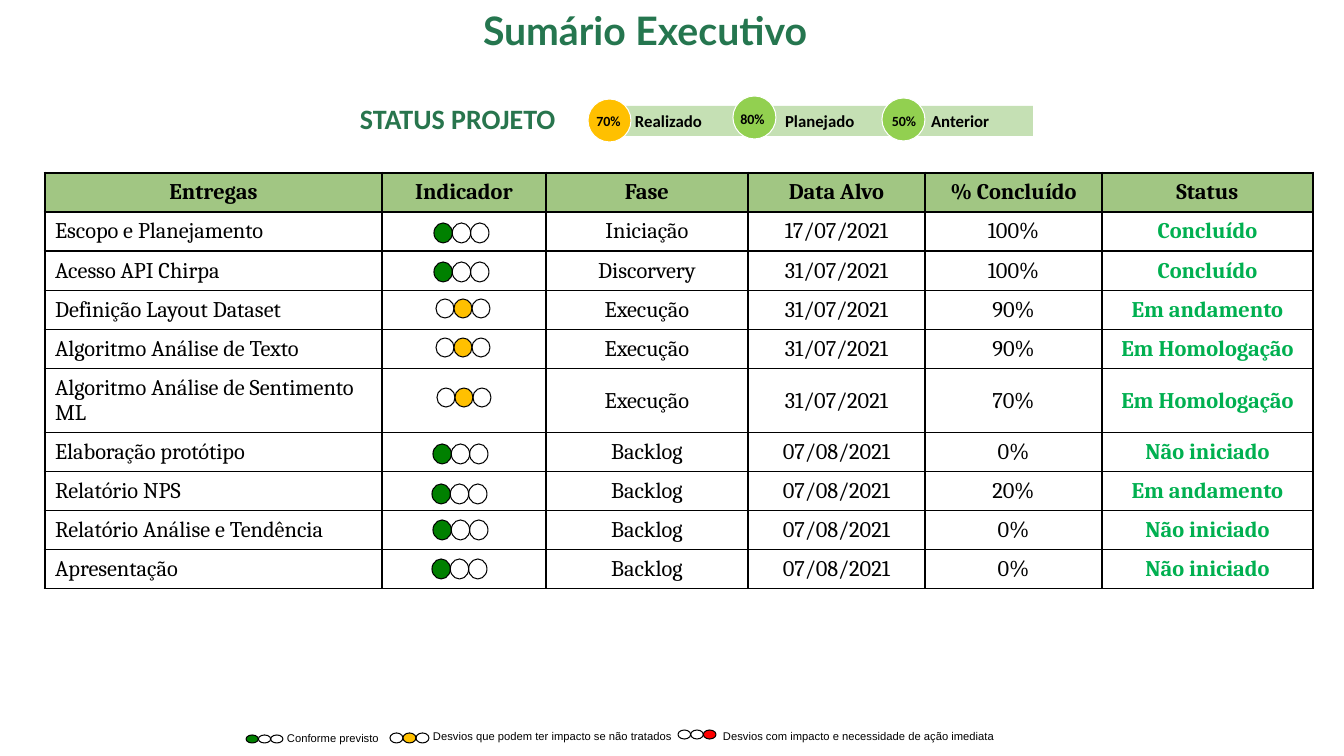
from lxml import etree
from pptx import Presentation
from pptx.dml.color import RGBColor
from pptx.enum.shapes import MSO_SHAPE
from pptx.enum.text import MSO_ANCHOR, PP_ALIGN
from pptx.oxml.ns import qn
from pptx.util import Emu, Pt

LEFT, CENTER = PP_ALIGN.LEFT, PP_ALIGN.CENTER
MIDDLE = MSO_ANCHOR.MIDDLE
OVAL, RECT = MSO_SHAPE.OVAL, MSO_SHAPE.RECTANGLE
EMU_PER_PX = 914400 / 100.8

# Content
BLACK, WHITE = "000000", "FFFFFF"
GREEN, AMBER, RED = "008000", "FFC000", "FF0000"
LIME, HEAD_FILL, STATUS_COLOR = "92D050", "A1C683", "00B050"

HEADER = ["Entregas", "Indicador", "Fase", "Data Alvo", "% Concluído", "Status"]
DELIVERIES = [
    ("Escopo e Planejamento", "", "Iniciação", "17/07/2021", "100%", "Concluído"),
    ("Acesso API Chirpa", "", "Discorvery", "31/07/2021", "100%", "Concluído"),
    ("Definição Layout Dataset", "", "Execução", "31/07/2021", "90%", "Em andamento"),
    ("Algoritmo Análise de Texto", "", "Execução", "31/07/2021", "90%", "Em Homologação"),
    ("Algoritmo Análise de Sentimento ML", "", "Execução", "31/07/2021", "70%", "Em Homologação"),
    ("Elaboração protótipo", "", "Backlog", "07/08/2021", "0%", "Não iniciado"),
    ("Relatório NPS", "", "Backlog", "07/08/2021", "20%", "Em andamento"),
    ("Relatório Análise e Tendência", "", "Backlog", "07/08/2021", "0%", "Não iniciado"),
    ("Apresentação", "", "Backlog", "07/08/2021", "0%", "Não iniciado"),
]
TABLE_AT = (45, 173)
COL_WIDTHS = [337, 164, 202, 177, 177, 211]
ROW_HEIGHTS = [39, 39, 40, 39, 39, 64, 39, 39, 39, 39]

# Traffic lights: box of the three lamps, then the colour that is lit
LAMP_ORDER = [GREEN, AMBER, RED]
LEGEND_LIGHTS = [
    ((678, 730, 38, 9), RED),
    ((246, 735, 37, 8), GREEN),
    ((390, 733, 39, 10), AMBER),
]
ROW_LIGHTS = [
    ((434, 223, 55, 20), GREEN),
    ((434, 262, 55, 20), GREEN),
    ((436, 299, 54, 19), AMBER),
    ((436, 338, 54, 19), AMBER),
    ((437, 388, 54, 19), AMBER),
    ((433, 444, 55, 20), GREEN),
    ((432, 484, 55, 20), GREEN),
    ((433, 520, 55, 20), GREEN),
    ((432, 559, 55, 20), GREEN),
]
LEGEND_TEXTS = [
    ((423, 724, 268, 24), "Desvios que podem ter impacto se não tratados"),
    ((277, 726, 121, 24), "Conforme previsto"),
    ((713, 724, 371, 24), "Desvios com impacto e necessidade de ação imediata"),
]

# Progress bar
BAR_BOX = (622, 106, 411, 30)
BAR_LABELS = ["Realizado", "Planejado", "Anterior"]
BAR_TABS = [150, 296]
BADGE = 43
BADGES = [
    ((588, 99), AMBER, "70%", (586, 107, 45, 27)),
    ((733, 96), LIME, "80%", (730, 105, 45, 27)),
    ((882, 98), LIME, "50%", (880, 107, 48, 27)),
]

# Text formats
TITLE = dict(name="Lato", size=Pt(28), bold=True, color="25764F")
HEADING = dict(name="Calibri", size=Pt(20), bold=True, color="28754D")
BAR = dict(name="Calibri", size=Pt(12), bold=True, color=BLACK)
PERCENT = dict(name="Calibri", size=Pt(10), bold=True, color=BLACK)
LEGEND = dict(name="Arial", size=Pt(8), bold=False, color=BLACK)
CELL = dict(name="Cambria", size=Pt(16), bold=False, color=BLACK)
CELL_HEAD = dict(CELL, bold=True)
CELL_STATUS = dict(CELL_HEAD, color=STATUS_COLOR)


def px(n):
    return Emu(round(n * EMU_PER_PX))


def rgb(color):
    return RGBColor.from_string(color)


def write(tf, text, fmt, align=LEFT):
    p = tf.paragraphs[0]
    p.alignment = align
    r = p.add_run()
    r.text = text
    for key, value in fmt.items():
        if key == "color":
            r.font.color.rgb = rgb(value)
        else:
            setattr(r.font, key, value)
    return p


def add_text(box, text, fmt, align=LEFT, inset=10):
    tf = s.shapes.add_textbox(*map(px, box)).text_frame
    tf.word_wrap = True
    tf.vertical_anchor = MIDDLE
    tf.margin_left = tf.margin_right = px(inset)
    write(tf, text, fmt, align)


def add_shape(parent, kind, box, fill=None, line=None):
    sp = parent.add_shape(kind, *map(px, box))
    sp.shadow.inherit = False
    if fill:
        sp.fill.solid()
        sp.fill.fore_color.rgb = rgb(fill)
    else:
        sp.fill.background()
    if line:
        sp.line.color.rgb = rgb(line)
        sp.line.width = Pt(0.75)
    else:
        sp.line.fill.background()
    return sp


def add_lights(box, lit):
    x, y, w, h = box
    group = s.shapes.add_group_shape().shapes
    lamp_w = w / len(LAMP_ORDER)
    for i, color in enumerate(LAMP_ORDER):
        fill = color if color == lit else None
        add_shape(group, OVAL, (x + i * lamp_w, y, lamp_w, h), fill, BLACK)


def set_border(cell, side, width):
    ln = etree.SubElement(cell._tc.get_or_add_tcPr(), qn("a:" + side), w=str(Pt(width)))
    fill = etree.SubElement(ln, qn("a:solidFill"))
    etree.SubElement(fill, qn("a:srgbClr"), val=BLACK)


prs = Presentation()
prs.slide_width, prs.slide_height = px(1344), px(756)
s = prs.slides.add_slide(prs.slide_layouts[6])

# Title and legend
add_text((473, 6, 431, 47), "Sumário Executivo", TITLE)
for box, lit in LEGEND_LIGHTS:
    add_lights(box, lit)
for box, text in LEGEND_TEXTS:
    add_text(box, text, LEGEND)

# Deliveries table
rows = [HEADER] + DELIVERIES
last_col = len(HEADER) - 1
size = (sum(COL_WIDTHS), sum(ROW_HEIGHTS))
table = s.shapes.add_table(len(rows), len(HEADER), *map(px, TABLE_AT + size)).table
for column, width in zip(table.columns, COL_WIDTHS):
    column.width = px(width)
for row, height in zip(table.rows, ROW_HEIGHTS):
    row.height = px(height)
for i, row in enumerate(rows):
    for j, text in enumerate(row):
        cell = table.cell(i, j)
        cell.vertical_anchor = MIDDLE
        borders = dict(
            lnL=2.25 if j == 0 else 1,
            lnR=2.25 if j == last_col else 1,
            lnT=2.25 if i == 0 else 1,
            lnB=1,
        )
        for side, width in borders.items():
            set_border(cell, side, width)
        cell.fill.solid()
        cell.fill.fore_color.rgb = rgb(WHITE if i else HEAD_FILL)
        if text:
            fmt = CELL_HEAD if i == 0 else CELL_STATUS if j == last_col else CELL
            write(cell.text_frame, text, fmt, LEFT if i and j == 0 else CENTER)
        else:
            cell.margin_top = cell.margin_bottom = 0
for box, lit in ROW_LIGHTS:
    add_lights(box, lit)

# Project status bar, its labels set on tab stops
add_text((350, 96, 217, 44), "STATUS PROJETO", HEADING)
tf = add_shape(s.shapes, RECT, BAR_BOX, "C5E0B4").text_frame
tf.vertical_anchor = MIDDLE
tf.margin_left = px(13)
p = write(tf, "\t".join(BAR_LABELS), BAR)
tabs = etree.SubElement(p._p.get_or_add_pPr(), qn("a:tabLst"))
for stop in BAR_TABS:
    etree.SubElement(tabs, qn("a:tab"), pos=str(px(stop)), algn="l")
for corner, fill, text, text_box in BADGES:
    add_shape(s.shapes, OVAL, corner + (BADGE, BADGE), fill, WHITE)
    add_text(text_box, text, PERCENT, CENTER, inset=0)

prs.save("out.pptx")
